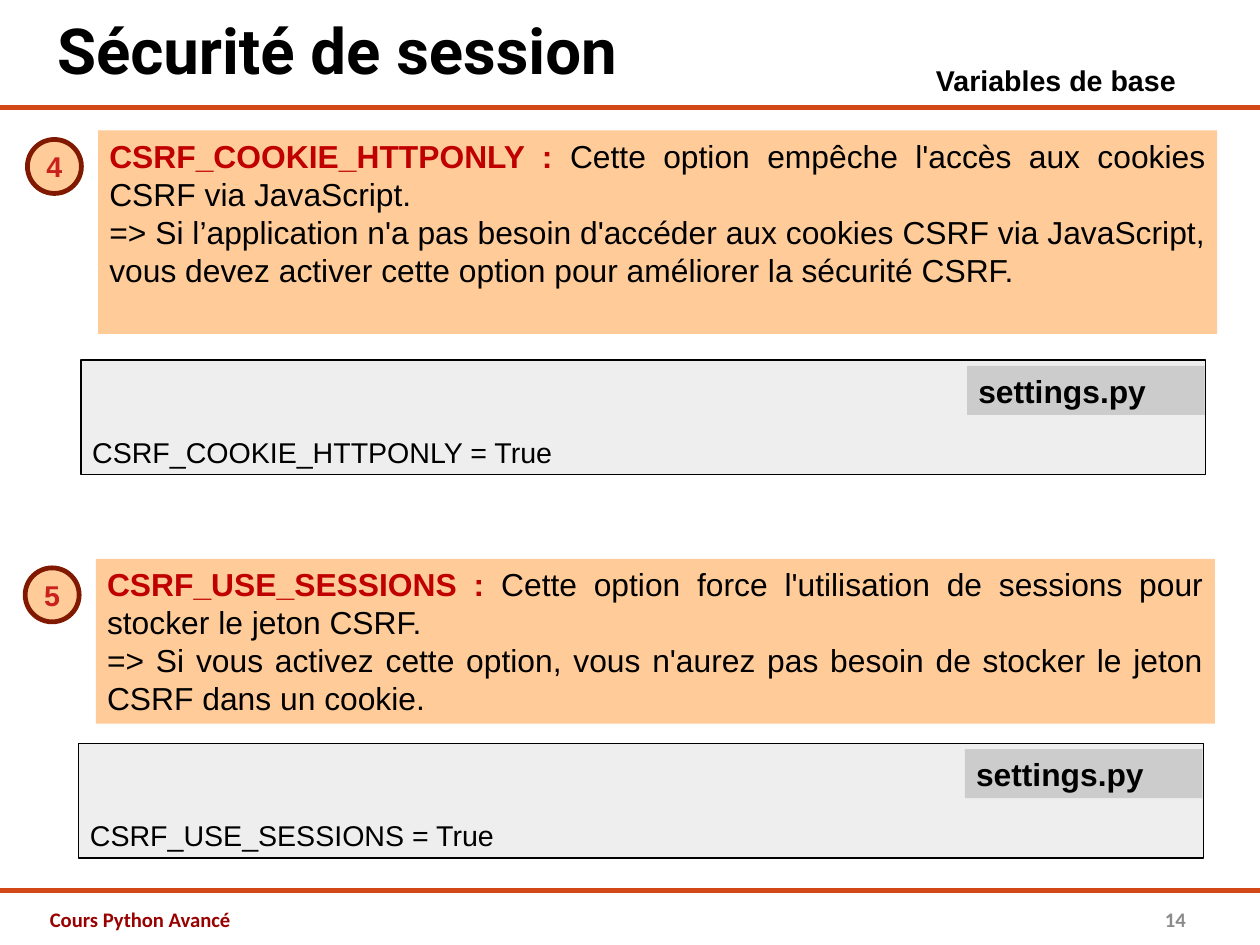
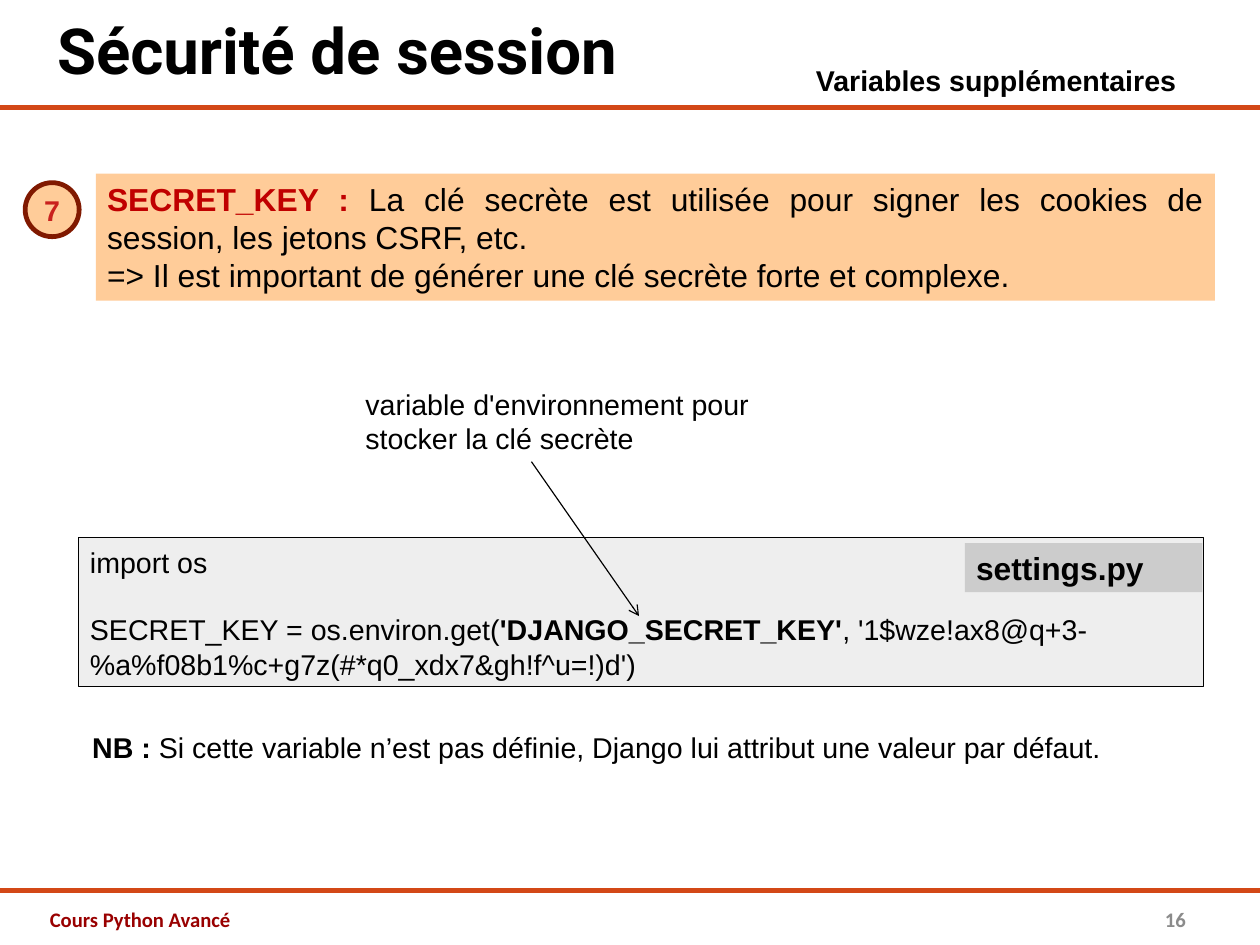
from lxml import etree
from pptx import Presentation
from pptx import util as u
from pptx.dml.color import RGBColor
from pptx.enum import shapes as sh, text as tx
from pptx.oxml.ns import qn

Cm, Pt = u.Cm, u.Pt
WIDE, HIGH = 28, 21
HUES = dict(rule="D34817", peach="FFCC99", ring="801900", digit="C9211E",
            term="C00000", code="EEEEEE", tab="CCCCCC", ink="000000",
            course="990000", page="8B8B8B")
LEFT, MID, RIGHT, FULL = (tx.PP_ALIGN.LEFT, tx.PP_ALIGN.CENTER,
                          tx.PP_ALIGN.RIGHT, tx.PP_ALIGN.JUSTIFY)
TOP, CORE, BASE = (tx.MSO_ANCHOR.TOP, tx.MSO_ANCHOR.MIDDLE,
                   tx.MSO_ANCHOR.BOTTOM)
STYLES = {
    "title": dict(name="Roboto", size=Pt(40), bold=True, hue="ink"),
    "sub": dict(name="Arial", size=Pt(18), bold=True, hue="ink"),
    "course": dict(name="Calibri", size=Pt(13), bold=True, hue="course"),
    "page": dict(name="Calibri", size=Pt(13), bold=True, hue="page"),
    "digit": dict(name="Arial", size=Pt(18), bold=True, hue="digit"),
    "term": dict(name="Arial", size=Pt(20), bold=True, hue="term"),
    "body": dict(name="Arial", size=Pt(20), bold=False, hue="ink"),
    "file": dict(name="Arial", size=Pt(20), bold=True, hue="ink"),
    "note": dict(name="Arial", size=Pt(18), bold=False, hue="ink"),
}


def tint(hue):
    return RGBColor.from_string(HUES[hue])


def write(shape, paras, align=LEFT, anchor=TOP, wrap=True, gap=0):
    """Fill a shape; each paragraph is a list of (text, style) runs."""
    frame = shape.text_frame
    look = dict(word_wrap=wrap, vertical_anchor=anchor,
                margin_left=Cm(0.25), margin_right=Cm(0.25),
                margin_top=Cm(0.13), margin_bottom=Cm(0.13))
    for key, val in look.items():
        setattr(frame, key, val)
    for n, runs in enumerate(paras):
        para = frame.add_paragraph() if n else frame.paragraphs[0]
        para.alignment = align
        if n and gap:
            para.space_before = Pt(gap)
        for words, style in runs:
            run = para.add_run()
            run.text = words
            for key, val in STYLES[style].items():
                if key == "hue":
                    run.font.color.rgb = tint(val)
                else:
                    setattr(run.font, key, val)


def label(slide, box, paras, **opts):
    shape = slide.shapes.add_textbox(*map(Cm, box))
    write(shape, paras, **opts)
    return shape


def block(host, box, fill, edge=None, width=0, kind="RECTANGLE"):
    shape = host.add_shape(sh.MSO_SHAPE[kind], *map(Cm, box))
    shape.shadow.inherit = False
    shape.fill.solid()
    shape.fill.fore_color.rgb = tint(fill)
    if edge:
        shape.line.color.rgb = tint(edge)
        shape.line.width = Pt(width)
    else:
        shape.line.fill.background()
    return shape


def stroke(slide, ends, hue, width, arrow=False):
    line = slide.shapes.add_connector(sh.MSO_CONNECTOR.STRAIGHT,
                                      *map(Cm, ends))
    line.line.color.rgb = tint(hue)
    line.line.width = Pt(width)
    if arrow:
        etree.SubElement(line.line._get_or_add_ln(), qn("a:tailEnd"),
                         type="arrow")
    etree.SubElement(line._element.spPr, qn("a:effectLst"))


def base(deck, topic, left, width, page):
    """Add a slide with the shared title, rules and footer."""
    slide = deck.slides.add_slide(deck.slide_layouts[6])
    title = label(slide, (1.02, -0.03, 24.26, 2.21),
                  [[("Sécurité de session", "title")]], anchor=BASE)
    title.text_frame.margin_bottom = Cm(0.25)
    for y in (2.39, 19.79):
        stroke(slide, (0, y, WIDE, y), "rule", 3)
    label(slide, (0.86, 19.94, 8.86, 0.99),
          [[("Cours Python Avancé", "course")]], anchor=CORE)
    label(slide, (20.07, 19.94, 6.53, 0.99), [[(page, "page")]],
          align=RIGHT, anchor=CORE)
    label(slide, (left, 1.27, width, 1.02), [[(topic, "sub")]])
    return slide


def item(slide, x, y, high, digit, term, use, hint):
    """Numbered badge and the panel that explains one setting."""
    badge = block(slide.shapes, (x, y + 0.2, 1.2, 1.2), "peach", "ring", 3,
                  "OVAL")
    write(badge, [[(digit, "digit")]], align=MID, anchor=CORE, wrap=False)
    panel = block(slide.shapes, (x + 1.57, y, 24.87, high), "peach")
    write(panel, [[(term + " :", "term"), (" " + use, "body")],
                  [("=> " + hint, "body")]], align=FULL)


def code(slide, x, y, high, lines, gap=0):
    """Code box with its file tab in the upper right corner."""
    group = slide.shapes.add_group_shape().shapes
    write(block(group, (x, y, 25, high), "code", "ink"), lines,
          anchor=BASE, gap=gap)
    tab = block(group, (x + 19.69, y + 0.13, 5.28, 1.09), "tab")
    write(tab, [[("settings.py", "file")]])


def basics(deck):
    slide = base(deck, "Variables de base", 20.55, 7.14, "14")
    item(slide, 0.61, 2.9, 4.52, "4", "CSRF_COOKIE_HTTPONLY",
         "Cette option empêche l'accès aux cookies CSRF via JavaScript.",
         "Si l’application n'a pas besoin d'accéder aux cookies CSRF via "
         "JavaScript, vous devez activer cette option pour améliorer la "
         "sécurité CSRF.")
    code(slide, 1.8, 8, 2.55, [[("CSRF_COOKIE_HTTPONLY = True", "note")]])
    item(slide, 0.56, 12.42, 3.66, "5", "CSRF_USE_SESSIONS",
         "Cette option force l'utilisation de sessions pour stocker le "
         "jeton CSRF.",
         "Si vous activez cette option, vous n'aurez pas besoin de stocker "
         "le jeton CSRF dans un cookie.")
    code(slide, 1.75, 16.52, 2.55, [[("CSRF_USE_SESSIONS = True", "note")]])


def extras(deck):
    slide = base(deck, "Variables supplémentaires", 17.88, 10.12, "16")
    item(slide, 0.56, 3.86, 2.82, "7", "SECRET_KEY",
         "La clé secrète est utilisée pour signer les cookies de session, "
         "les jetons CSRF, etc.",
         "Il est important de générer une clé secrète forte et complexe.")
    code(slide, 1.75, 11.94, 3.32, [
        [("import os", "note")],
        [("SECRET_KEY = os.environ.get(", "note"),
         ("'DJANGO_SECRET_KEY'", "sub"),
         (", '1$wze!ax8@q+3-%a%f08b1%c+g7z(#*q0_xdx7&gh!f^u=!)d')",
          "note")]], gap=20.7)
    label(slide, (7.87, 8.46, 9.47, 1.8),
          [[("variable d'environnement pour stocker la clé secrète",
             "note")]])
    stroke(slide, (11.81, 10.26, 14.2, 13.69), "ink", 0.75, arrow=True)
    label(slide, (1.8, 16.1, 24.79, 1.8),
          [[("NB : ", "sub"),
            ("Si cette variable n’est pas définie, Django lui attribut une "
             "valeur par défaut.", "note")]])


def main():
    deck = Presentation()
    deck.slide_width, deck.slide_height = Cm(WIDE), Cm(HIGH)
    basics(deck)
    extras(deck)
    deck.save("out.pptx")


if __name__ == "__main__":
    main()
